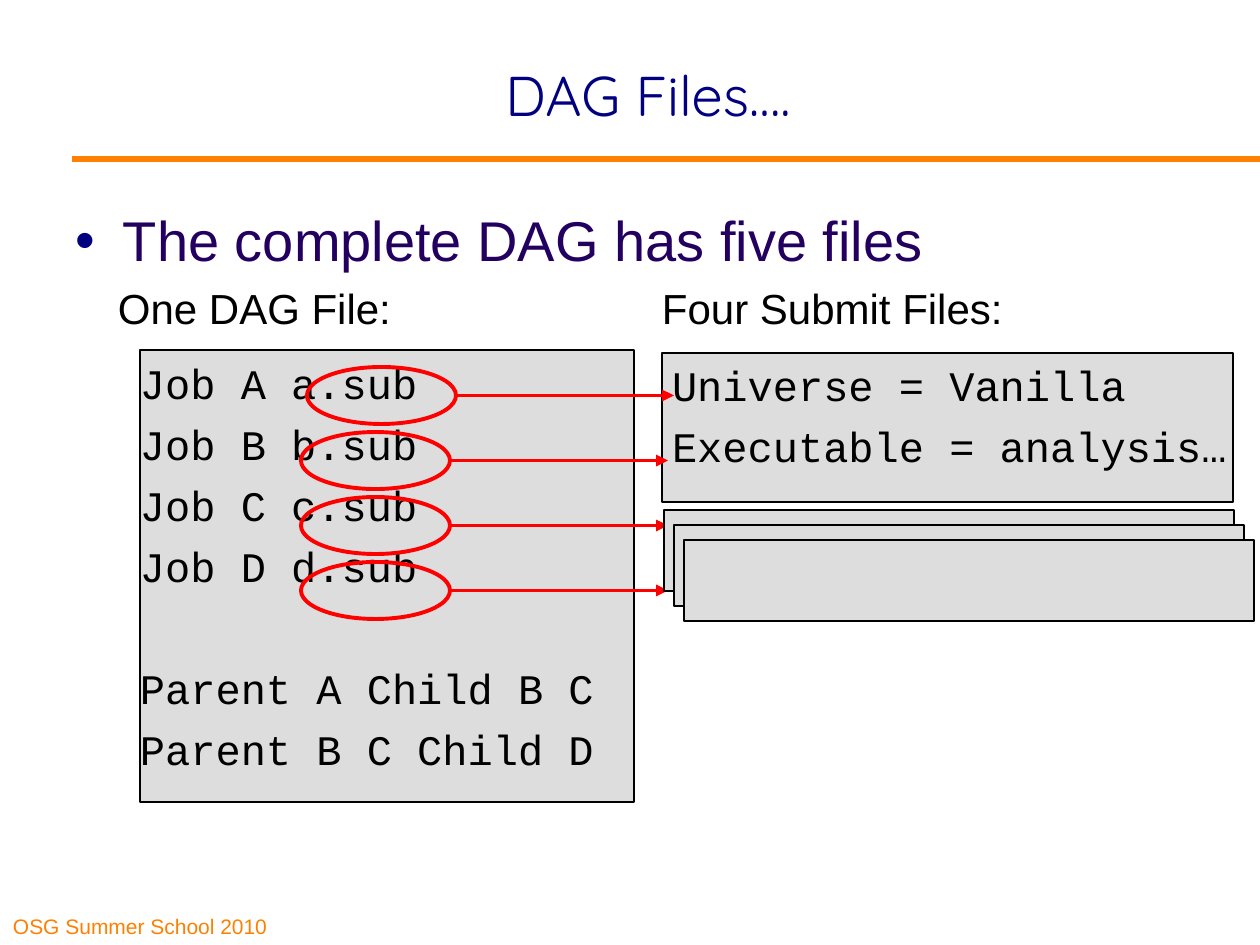
import pptx
import pptx.util
import pptx.dml.color
import pptx.enum.shapes
import pptx.enum.text
from dataclasses import dataclass
from lxml import etree

SHAPE = pptx.enum.shapes.MSO_SHAPE
ANCHOR = pptx.enum.text.MSO_ANCHOR
ALIGN = pptx.enum.text.PP_ALIGN
A = "{http://schemas.openxmlformats.org/drawingml/2006/main}"


@dataclass(frozen=True)
class Theme:
    navy: str = "000080"
    purple: str = "23005F"
    orange: str = "FF8000"
    red: str = "FF0000"
    black: str = "000000"
    panel: str = "DDDDDD"
    heading: str = "Quicksand"
    body: str = "Arial"
    code: str = "Courier New"
    large: int = 32
    medium: int = 24
    small: int = 12
    line_gap: int = 6
    group_gap: int = 41


THEME = Theme()


def px(n):
    return pptx.util.Emu(round(n * 914400 / 126))


def rgb(value):
    return pptx.dml.color.RGBColor.from_string(value)


def set_all(target, values):
    for name, value in values.items():
        setattr(target, name, value)


def set_font(p, face, size, color):
    set_all(p.font, {"name": face, "size": pptx.util.Pt(size), "bold": False})
    p.font.color.rgb = rgb(color)


def set_frame(tf, insets=(13, 6, 13, 6), anchor=ANCHOR.TOP, wrap=True):
    sides = ("margin_left", "margin_top", "margin_right", "margin_bottom")
    set_all(tf, {side: px(n) for side, n in zip(sides, insets)})
    set_all(tf, {"vertical_anchor": anchor, "word_wrap": wrap})


def add_text(s, box, text, face, size, color, anchor=ANCHOR.TOP):
    sp = s.shapes.add_textbox(*map(px, box))
    set_frame(sp.text_frame, anchor=anchor)
    p = sp.text_frame.paragraphs[0]
    p.text = text
    set_font(p, face, size, color)
    return p


def add_outline(s, kind, box, line, width, fill=None):
    sp = s.shapes.add_shape(kind, *map(px, box))
    sp.shadow.inherit = False
    if fill:
        sp.fill.solid()
        sp.fill.fore_color.rgb = rgb(fill)
    else:
        sp.fill.background()
    sp.line.color.rgb = rgb(line)
    sp.line.width = pptx.util.Pt(width)
    return sp


def add_line(s, x1, y1, x2, y2, color, width, arrow=False):
    cx = s.shapes.add_connector(
        pptx.enum.shapes.MSO_CONNECTOR.STRAIGHT, *map(px, (x1, y1, x2, y2)))
    cx.line.color.rgb = rgb(color)
    cx.line.width = pptx.util.Pt(width)
    if arrow:
        ln = cx._element.spPr.find(A + "ln")
        etree.SubElement(ln, A + "tailEnd", type="triangle")
    etree.SubElement(cx._element.spPr, A + "effectLst")


def add_panel(s, box):
    return add_outline(s, SHAPE.RECTANGLE, box, THEME.black, 1, THEME.panel)


def add_code_panel(s, box, groups, insets):
    """Fill a panel with groups of code lines, a line's height apart."""
    tf = add_panel(s, box).text_frame
    set_frame(tf, insets, wrap=False)
    p = tf.paragraphs[0]
    for g, lines in enumerate(groups):
        for i, line in enumerate(lines):
            if g or i:
                p = tf.add_paragraph()
                p.space_before = pptx.util.Pt(THEME.line_gap if i else THEME.group_gap)
            p.text = line
            p.alignment = ALIGN.LEFT
            set_font(p, THEME.code, THEME.medium, THEME.black)


def add_panel_heading(s, x, y, text):
    add_text(s, (x, y, 440, 63), text, THEME.body, THEME.medium, THEME.black)


def build_title(s, box):
    sp = s.shapes.title
    set_all(sp, dict(zip(("left", "top", "width", "height"), map(px, box))))
    set_frame(sp.text_frame, anchor=ANCHOR.MIDDLE)
    p = sp.text_frame.paragraphs[0]
    p.text = "DAG Files…."
    p.alignment = ALIGN.CENTER
    set_font(p, THEME.heading, THEME.large, THEME.navy)


def build_bullet(s, box):
    p = add_text(s, box, "The complete DAG has five files",
                 THEME.body, THEME.large, THEME.purple)
    ppr = p._p.get_or_add_pPr()
    ppr.set("marL", str(px(47)))
    ppr.set("indent", str(px(-47)))
    color = etree.Element(A + "buClr")
    etree.SubElement(color, A + "srgbClr", val=THEME.navy)
    ppr.insert(0, color)
    ppr.insert(1, etree.Element(A + "buFont", typeface=THEME.body))
    ppr.insert(2, etree.Element(A + "buChar", char="•"))


def build_dag_file(s, box):
    x, y, w, h = box
    add_panel_heading(s, x - 35, y - 73, "One DAG File:")
    jobs = [f"Job {name} {name.lower()}.sub" for name in "ABCD"]
    parents = ["Parent A Child B C", "Parent B C Child D"]
    add_code_panel(s, box, [jobs, parents], (0, 8, 0, 0))


def build_submit_files(s, box):
    x, y, w, h = box
    add_panel_heading(s, x - 13, y - 76, "Four Submit Files:")
    add_code_panel(s, box, [["Universe = Vanilla", "Executable = analysis…"]],
                   (10, 7, 0, 0))


def build_job_links(s, box):
    """Circle each submit file name and point from it to its file."""
    x, y, w, h = box
    for i in range(4):
        left, top = x + (6 if i == 0 else 0), y + 65 * i
        add_outline(s, SHAPE.OVAL, (left, top, w, h), THEME.red, 2.25)
        mid = top + h / 2
        add_line(s, left + w, mid, left + w + 218, mid, THEME.red, 2.25, arrow=True)


def build_file_stack(s, box):
    x, y, w, h = box
    for i in range(3):
        add_panel(s, (x + 10 * i, y + 15 * i, w, h))


def main():
    prs = pptx.Presentation()
    prs.slide_width, prs.slide_height = px(1260), px(945)
    s = prs.slides.add_slide(prs.slide_layouts[5])
    build_title(s, (169, 15, 958, 158))
    add_line(s, 72, 159, 1260, 159, THEME.orange, 3)
    build_bullet(s, (63, 200, 1134, 86))
    build_dag_file(s, (140, 350, 494, 452))
    build_submit_files(s, (662, 353, 571, 149))
    build_job_links(s, (301, 367, 149, 57))
    build_file_stack(s, (664, 510, 570, 81))
    add_text(s, (0, 892, 312, 53), "OSG Summer School 2010",
             THEME.body, THEME.small, THEME.orange, anchor=ANCHOR.BOTTOM)
    prs.save("out.pptx")


if __name__ == "__main__":
    main()
